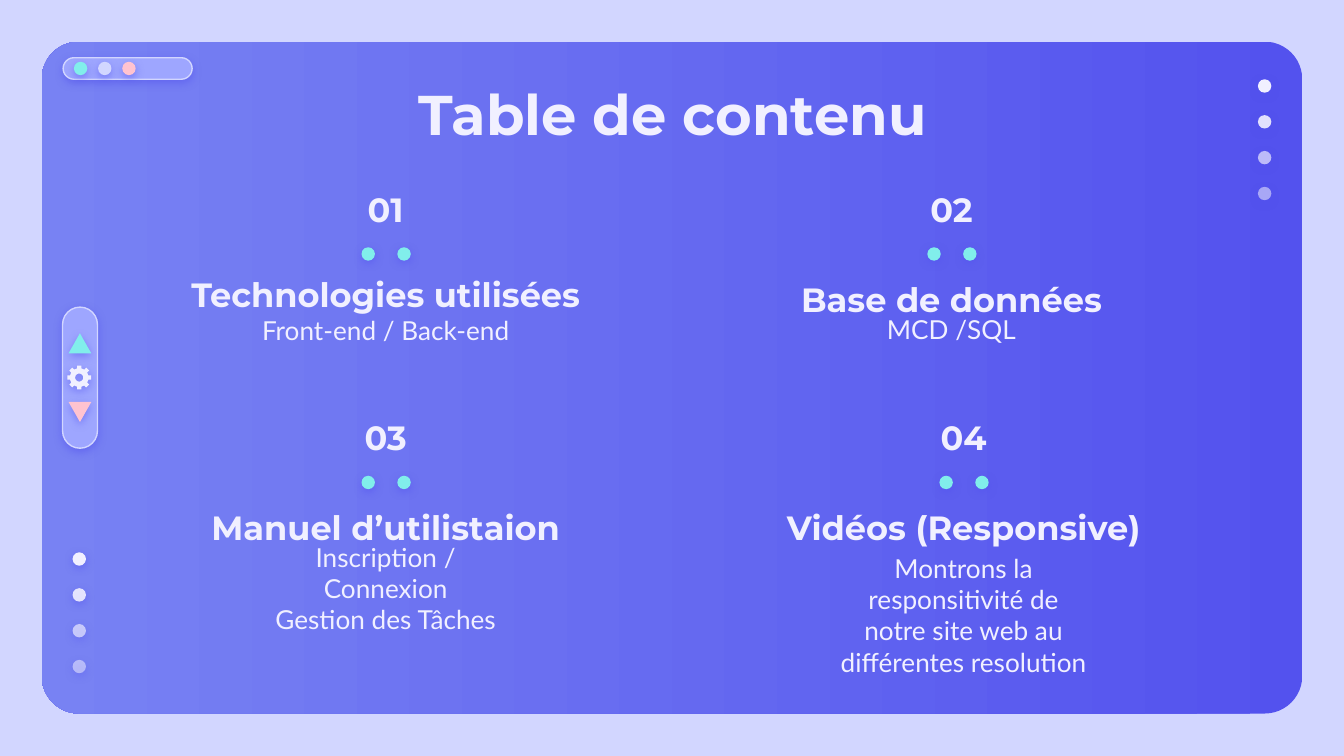
import math
from lxml import etree
from pptx import Presentation
from pptx.dml.color import RGBColor
from pptx.enum import shapes, text
from pptx.oxml import ns
from pptx.util import Inches, Pt

THEME = {
    "back": "D2D6FF", "deep": "5352EE", "soft": "7882F3", "pill": "9EA6FF",
    "light": "F1F0FF", "mint": "81EEEB", "pink": "FFC3D0",
    "title": ("Montserrat", 30, True),
    "head": ("Montserrat", 18, True),
    "body": ("Lato", 14, False),
}
TITLE = "Table de contenu"
TOPICS = [
    {"num": "01", "head": "Technologies utilisées", "body": ["Front-end / Back-end"],
     "mid": 2.87, "top": 1.42, "wide": 3.21, "head_y": 2.05, "body_y": 2.19, "tall": 0.53},
    {"num": "02", "head": "Base de données", "body": ["MCD /SQL"],
     "mid": 7.08, "top": 1.42, "wide": 2.52, "head_y": 2.09, "body_y": 2.18, "tall": 0.53},
    {"num": "03", "head": "Manuel d’utilistaion",
     "body": ["Inscription / Connexion", "Gestion des Tâches"],
     "mid": 2.87, "top": 3.12, "wide": 2.85, "head_y": 3.79, "body_y": 4.11, "tall": 0.53},
    {"num": "04", "head": "Vidéos (Responsive)",
     "body": ["Montrons la responsitivité de notre site web au différentes resolution"],
     "mid": 7.17, "top": 3.12, "wide": 2.85, "head_y": 3.79, "body_y": 4.11, "tall": 0.93},
]
COLUMNS = [(9.36, 0.59), (0.54, 4.11)]
FADES = [100, 90, 67, 54]
DOT, GAP = 0.1, 0.8 / 3
KIND = shapes.MSO_SHAPE

deck = Presentation()
deck.slide_width = Inches(10)
deck.slide_height = deck.slide_width * 9 // 16
slide = deck.slides.add_slide(deck.slide_layouts[6])


def color(name):
    return RGBColor.from_string(THEME[name])


def fade(node, share):
    alpha = etree.SubElement(node, ns.qn("a:alpha"))
    alpha.set("val", str(share * 1000))


def shade(shape):
    shape.shadow.inherit = False
    effects = shape.element.spPr.find(ns.qn("a:effectLst"))
    outer = etree.SubElement(effects, ns.qn("a:outerShdw"))
    values = {"blurRad": Pt(4.5), "dist": Pt(1.5), "dir": 5400000,
              "algn": "bl", "rotWithShape": 0}
    for key, value in values.items():
        outer.set(key, str(value))
    tint = etree.SubElement(outer, ns.qn("a:srgbClr"))
    tint.set("val", THEME["deep"])
    fade(tint, 50)


def paint(shape, fill, edge=None):
    shape.fill.solid()
    shape.fill.fore_color.rgb = color(fill)
    if edge:
        shape.line.color.rgb = color(edge)
        shape.line.width = Pt(0.75)
    else:
        shape.line.fill.background()
    shade(shape)


def draw(kind, area, fill, edge=None, turn=0):
    shape = slide.shapes.add_shape(kind, *map(Inches, area))
    shape.rotation = turn
    if kind == KIND.ROUNDED_RECTANGLE:
        shape.adjustments[0] = 0.5
    paint(shape, fill, edge)
    return shape


def dot(left, top, fill, share=100):
    shape = draw(KIND.OVAL, (left, top, DOT, DOT), fill)
    if share < 100:
        solid = shape.element.spPr.find(ns.qn("a:solidFill"))
        fade(solid.find(ns.qn("a:srgbClr")), share)


def write(lines, area, style, anchor=text.MSO_ANCHOR.MIDDLE):
    name, size, bold = THEME[style]
    frame = slide.shapes.add_textbox(*map(Inches, area)).text_frame
    frame.word_wrap = True
    frame.auto_size = text.MSO_AUTO_SIZE.NONE
    frame.vertical_anchor = anchor
    frame.margin_left = frame.margin_right = Inches(0.1)
    frame.margin_top = frame.margin_bottom = Inches(0.1)
    for index, line in enumerate(lines):
        para = frame.add_paragraph() if index else frame.paragraphs[0]
        para.alignment = text.PP_ALIGN.CENTER
        run = para.add_run()
        run.text = line
        run.font.name, run.font.size, run.font.bold = name, Pt(size), bold
        run.font.color.rgb = color("light")


def gear(mid_x, mid_y):
    def spot(angle, reach):
        turn = math.radians(angle)
        return (Inches(mid_x + reach * math.cos(turn)),
                Inches(mid_y + reach * math.sin(turn)))

    rim = [spot(45 * tooth + angle, reach) for tooth in range(8)
           for angle, reach in ((-13, 0.07), (-10, 0.09), (10, 0.09), (13, 0.07))]
    hole = [spot(-15 * step, 0.03) for step in range(24)]
    build = slide.shapes.build_freeform(*rim[0])
    build.add_line_segments(rim[1:], close=True)
    build.move_to(*hole[0])
    build.add_line_segments(hole[1:], close=True)
    paint(build.convert_to_shape(), "light")


slide.background.fill.solid()
slide.background.fill.fore_color.rgb = color("back")
panel = draw(KIND.ROUNDED_RECTANGLE, (0.31, 0.31, 9.38, 5), "deep")
panel.adjustments[0] = 0.056
panel.element.spPr.find(ns.qn("a:effectLst")).clear()
panel.fill.gradient()
panel.fill.gradient_angle = 180
for stop, place, name in zip(panel.fill.gradient_stops, (0, 1), ("deep", "soft")):
    stop.position = place
    stop.color.rgb = color(name)

draw(KIND.ROUNDED_RECTANGLE, (0.47, 0.43, 0.96, 0.16), "pill", "back")
for index, name in enumerate(("mint", "back", "pink")):
    dot(0.55 + 0.18 * index, 0.46, name)
for left, top in COLUMNS:
    for index, share in enumerate(FADES):
        dot(left, top + GAP * index, "light", share)

write([TITLE], (0.79, 0.49, 8.43, 0.63), "title", text.MSO_ANCHOR.TOP)
for topic in TOPICS:
    mid, top, wide = topic["mid"], topic["top"], topic["wide"]
    write([topic["num"]], (mid - 0.48, top, 0.96, 0.27), "head")
    write([topic["head"]], (mid - wide / 2, topic["head_y"], wide, 0.27), "head")
    write(topic["body"], (mid - 1.02, topic["body_y"], 2.04, topic["tall"]), "body")
    for index in range(2):
        dot(mid - 0.18 + GAP * index, top + 0.42, "mint")

draw(KIND.ROUNDED_RECTANGLE, (0.07, 2.68, 1.05, 0.26), "pill", "back", 90)
draw(KIND.ISOSCELES_TRIANGLE, (0.51, 2.48, 0.17, 0.15), "mint")
draw(KIND.ISOSCELES_TRIANGLE, (0.51, 2.99, 0.17, 0.15), "pink", turn=180)
gear(0.59, 2.81)

deck.save("out.pptx")
